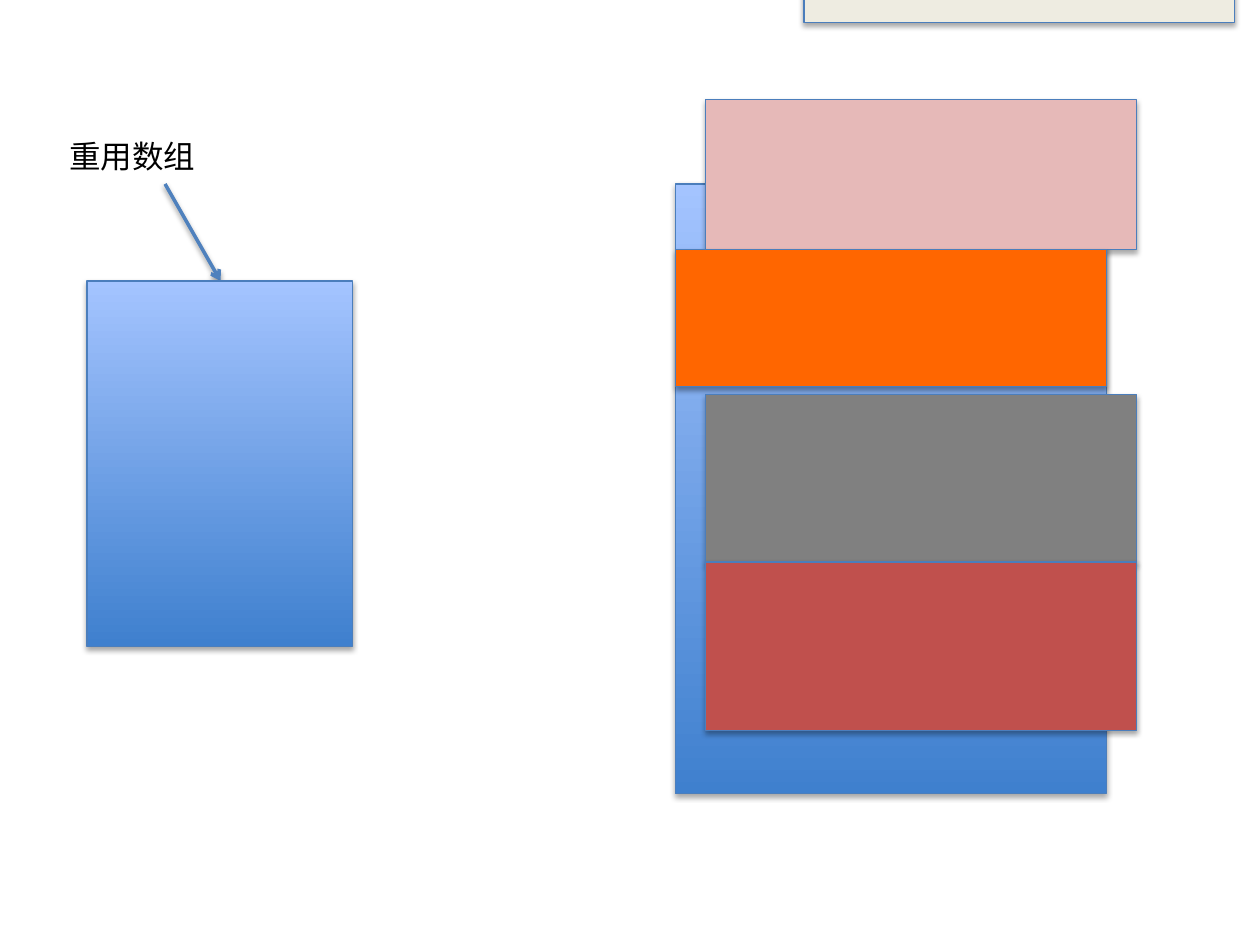
from lxml.etree import SubElement
from pptx import Presentation
from pptx.dml.color import RGBColor
from pptx.enum.shapes import MSO_CONNECTOR as CONN, MSO_SHAPE as SHAPE
from pptx.enum.text import MSO_AUTO_SIZE as AUTO
from pptx.oxml.ns import qn
from pptx.util import Inches, Pt

BLUE_GRADIENT = ("3F80CE", "A4C4FF")
ARRAY_LEFT, CELL_LEFT, CELL_WIDTH = 5.36, 5.6, 3.42


def rgb(value):
    return RGBColor.from_string(value)


def add_shadow(sp, blur, dist, alpha):
    effects = SubElement(sp._element.spPr, qn("a:effectLst"))
    shadow = SubElement(effects, qn("a:outerShdw"), blurRad=str(Pt(blur)),
                        dist=str(Pt(dist)), dir="5400000", rotWithShape="0")
    color = SubElement(shadow, qn("a:srgbClr"), val="000000")
    SubElement(color, qn("a:alpha"), val=str(alpha * 1000))


def add_box(s, left, top, width, height, fill):
    sp = s.shapes.add_shape(SHAPE.RECTANGLE, Inches(left), Inches(top),
                            Inches(width), Inches(height))
    if isinstance(fill, tuple):
        sp.fill.gradient()
        sp.fill.gradient_angle = 90
        for stop, color, position in zip(sp.fill.gradient_stops, fill, (0, 1)):
            stop.color.rgb = rgb(color)
            stop.position = position
    else:
        sp.fill.solid()
        sp.fill.fore_color.rgb = rgb(fill)
    sp.line.color.rgb = rgb("4B7EBC")
    sp.line.width = Pt(0.75)
    add_shadow(sp, 3.1, 1.8, 35)


def add_text(s, text, left, top, width, height, size=18, font="Calibri", color="000000"):
    tf = s.shapes.add_textbox(Inches(left), Inches(top), Inches(width),
                              Inches(height)).text_frame
    tf.word_wrap = True
    tf.auto_size = AUTO.SHAPE_TO_FIT_TEXT
    r = tf.paragraphs[0].add_run()
    r.text = text
    r.font.size = Pt(size)
    r.font.name = font
    r.font.color.rgb = rgb(color)


def add_arrow(s, x1, y1, x2, y2):
    arrow = s.shapes.add_connector(CONN.STRAIGHT, Inches(x1), Inches(y1),
                                   Inches(x2), Inches(y2))
    arrow.line.color.rgb = rgb("4F81BD")
    arrow.line.width = Pt(2)
    SubElement(arrow.line._get_or_add_ln(), qn("a:tailEnd"), type="arrow")
    add_shadow(arrow, 3.1, 1.6, 38)


def main():
    prs = Presentation()
    prs.slide_width, prs.slide_height = Inches(10), Inches(7.5)
    s = prs.slides.add_slide(prs.slide_layouts[6])
    cells = [
        (ARRAY_LEFT, 1.46, 4.84, BLUE_GRADIENT),
        (6.38, -1.04, 1.22, "EEECE1"),
        (CELL_LEFT, 0.79, 1.19, "E6B9B8"),
        (ARRAY_LEFT, 1.98, 1.09, "FF6600"),
        (CELL_LEFT, 3.13, 1.34, "808080"),
        (CELL_LEFT, 4.46, 1.34, "C0504D"),
    ]
    for left, top, height, fill in cells:
        add_box(s, left, top, CELL_WIDTH, height, fill)
    add_text(s, "重用数组", 0.45, 1.04, 3, 0.4)
    add_arrow(s, 1.31, 1.46, 1.75, 2.23)
    add_box(s, 0.69, 2.23, 2.11, 2.9, BLUE_GRADIENT)
    prs.save("out.pptx")


main()
